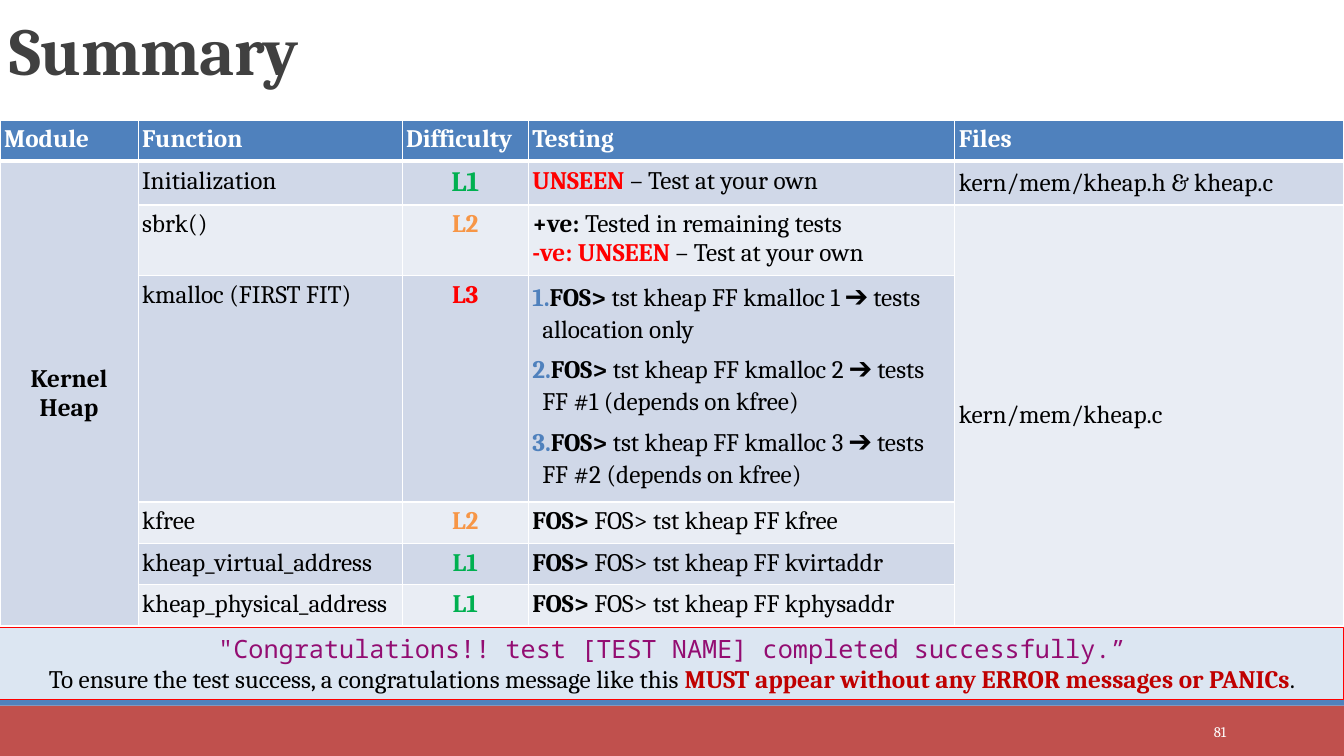
from lxml.etree import SubElement
from pptx import Presentation
from pptx.dml.color import RGBColor
from pptx.enum.shapes import MSO_SHAPE
from pptx.enum.text import MSO_ANCHOR, PP_ALIGN
from pptx.oxml.ns import qn
from pptx.util import Pt

PX = 9144
BLACK, WHITE, RED, BLUE = "000000", "FFFFFF", "FF0000", "4F81BD"
BANDS = ["D0D8E8", "E9EDF4"]
LEVELS = {"L1": "00B050", "L2": "F79646", "L3": RED}


def color(value):
    """Turn a hex string into a colour."""
    return RGBColor.from_string(value)


class SummaryPage:
    """Holds the style and the current slide."""

    def __init__(self, deck, font="Cambria", size=18):
        """Add a blank slide to the deck."""
        self.page = deck.slides.add_slide(deck.slide_layouts[6])
        self.font, self.size = font, size

    def fill_text(self, frame, paras, align=PP_ALIGN.LEFT, size=None):
        """Fill a text frame with paragraphs of (text, colour, bold[, font]) runs."""
        frame.word_wrap = True
        for index, runs in enumerate(paras):
            para = frame.add_paragraph() if index else frame.paragraphs[0]
            para.alignment = align
            for text, ink, bold, *font in runs:
                span = para.add_run()
                span.text = text
                span.font.name = font[0] if font else self.font
                span.font.size = Pt(size or self.size)
                span.font.bold = bold
                span.font.color.rgb = color(ink)

    def bar(self, left, top, width, height, fill, line=None):
        """Draw a filled rectangle."""
        box = self.page.shapes.add_shape(
            MSO_SHAPE.RECTANGLE, *(n * PX for n in (left, top, width, height)))
        box.shadow.inherit = False
        box.fill.solid()
        box.fill.fore_color.rgb = color(fill)
        if line:
            box.line.color.rgb = color(line)
            box.line.width = Pt(0.75)
        else:
            box.line.fill.background()
        return box

    def label(self, left, top, width, height, runs, size, anchor, align=PP_ALIGN.LEFT):
        """Place a one-paragraph text box."""
        box = self.page.shapes.add_textbox(*(n * PX for n in (left, top, width, height)))
        box.text_frame.vertical_anchor = anchor
        self.fill_text(box.text_frame, [runs], align, size)
        return box.text_frame.paragraphs[0]

    def table(self, left, top, widths, heights):
        """Add a table with the given column widths and row heights."""
        frame = self.page.shapes.add_table(
            len(heights), len(widths), left * PX, top * PX, sum(widths) * PX, sum(heights) * PX)
        for column, width in zip(frame.table.columns, widths):
            column.width = width * PX
        for row, height in zip(frame.table.rows, heights):
            row.height = height * PX
        return frame.table

    def cell(self, cell, fill, edges):
        """Set the margins, borders and fill of a table cell."""
        cell.margin_left = cell.margin_right = 4 * PX
        cell.margin_top = cell.margin_bottom = 5 * PX
        props = cell._tc.get_or_add_tcPr()
        for side, width in zip("LRTB", edges):
            line = SubElement(props, qn(f"a:ln{side}"), w=str(Pt(width)))
            SubElement(SubElement(line, qn("a:solidFill")), qn("a:srgbClr"), val=WHITE)
        cell.fill.solid()
        cell.fill.fore_color.rgb = color(fill)

    def number(self, para):
        """Give a paragraph a blue automatic number and looser spacing."""
        para.line_spacing = 1.1
        para.space_before, para.space_after = Pt(2), Pt(4)
        props = para._p.get_or_add_pPr()
        props.set("marL", str(10 * PX))
        props.set("indent", str(-38 * PX))
        SubElement(SubElement(props, qn("a:buClr")), qn("a:srgbClr"), val=BLUE)
        SubElement(props, qn("a:buAutoNum"), type="arabicPeriod")


def command(text):
    """Return the runs of one test command."""
    return [("FOS> ", BLACK, True), (text, BLACK, False)]


def plain(text, ink=BLACK, bold=False):
    """Return one paragraph made of a single run."""
    return [[(text, ink, bold)]]


def main():
    """Build the summary slide."""
    deck = Presentation()
    deck.slide_width, deck.slide_height = 1333 * PX, 750 * PX
    summary = SummaryPage(deck)
    summary.bar(0, 700, 1333, 50, "C0504D")
    summary.bar(0, 693, 1333, 7, BLUE)

    title = summary.label(0, 1, 1100, 92, [("Summary", "404040", True)], 48, MSO_ANCHOR.BOTTOM)
    title.line_spacing = 0.85
    title.runs[0]._r.get_or_add_rPr().set("spc", "-50")

    own = (" – Test at your own", BLACK, False)
    goals = ["allocation only", "FF #1 (depends on kfree)", "FF #2 (depends on kfree)"]
    functions = [
        ("Initialization", "L1", [[("UNSEEN", RED, True), own]]),
        ("sbrk()", "L2", [[("+ve: ", BLACK, True), ("Tested in remaining tests", BLACK, False)],
                          [("-ve: UNSEEN", RED, True), own]]),
        ("kmalloc (FIRST FIT)", "L3", [command(f"tst kheap FF kmalloc {n} ➔ tests {goal}")
                                       for n, goal in enumerate(goals, 1)]),
        ("kfree", "L2", [command("FOS> tst kheap FF kfree")]),
        ("kheap_virtual_address", "L1", [command("FOS> tst kheap FF kvirtaddr")]),
        ("kheap_physical_address", "L1", [command("FOS> tst kheap FF kphysaddr")]),
    ]
    table = summary.table(0, 119, [137, 262, 125, 423, 386], [41, 41, 67, 217, 41, 41, 41])
    for row in range(7):
        for column in range(5):
            fill = BANDS[(row - 1) % 2] if row else BLUE
            edges = (1, 1, 3 if row == 1 else 1, 1 if row else 3)
            summary.cell(table.cell(row, column), BANDS[0] if row and not column else fill, edges)
    for column, heading in enumerate(["Module", "Function", "Difficulty", "Testing", "Files"]):
        summary.fill_text(table.cell(0, column).text_frame, plain(heading, WHITE, True))
    for row, (name, level, tests) in enumerate(functions, 1):
        summary.fill_text(table.cell(row, 1).text_frame, plain(name))
        summary.fill_text(table.cell(row, 2).text_frame, plain(level, LEVELS[level], True),
                          PP_ALIGN.CENTER, 20 if row == 1 else 18)
        summary.fill_text(table.cell(row, 3).text_frame, tests)
    for para in table.cell(3, 3).text_frame.paragraphs:
        summary.number(para)

    module, header_file, source_file = table.cell(1, 0), table.cell(1, 4), table.cell(2, 4)
    module.merge(table.cell(6, 0))
    source_file.merge(table.cell(6, 4))
    for cell in (module, header_file, source_file):
        cell.vertical_anchor = MSO_ANCHOR.MIDDLE
    summary.fill_text(module.text_frame, plain("Kernel Heap", BLACK, True), PP_ALIGN.CENTER)
    summary.fill_text(header_file.text_frame, plain("kern/mem/kheap.h & kheap.c"))
    summary.fill_text(source_file.text_frame, plain("kern/mem/kheap.c"))

    summary.label(1083, 706, 143, 40, [("81", WHITE, False)], 10.5,
                  MSO_ANCHOR.MIDDLE, PP_ALIGN.RIGHT)
    notice = summary.bar(0, 623, 1333, 71, "DCE6F2", RED)
    notice.text_frame.vertical_anchor = MSO_ANCHOR.TOP
    summary.fill_text(notice.text_frame, [
        [('"Congratulations!! test [TEST NAME] completed successfully.”',
          "930D72", False, "Noto Sans Mono")],
        [("To ensure the test success, a congratulations message like this ", BLACK, False),
         ("MUST appear without any ERROR messages or PANICs", "C00000", True),
         (".", BLACK, False)],
    ], PP_ALIGN.CENTER)
    deck.save("out.pptx")


if __name__ == "__main__":
    main()
